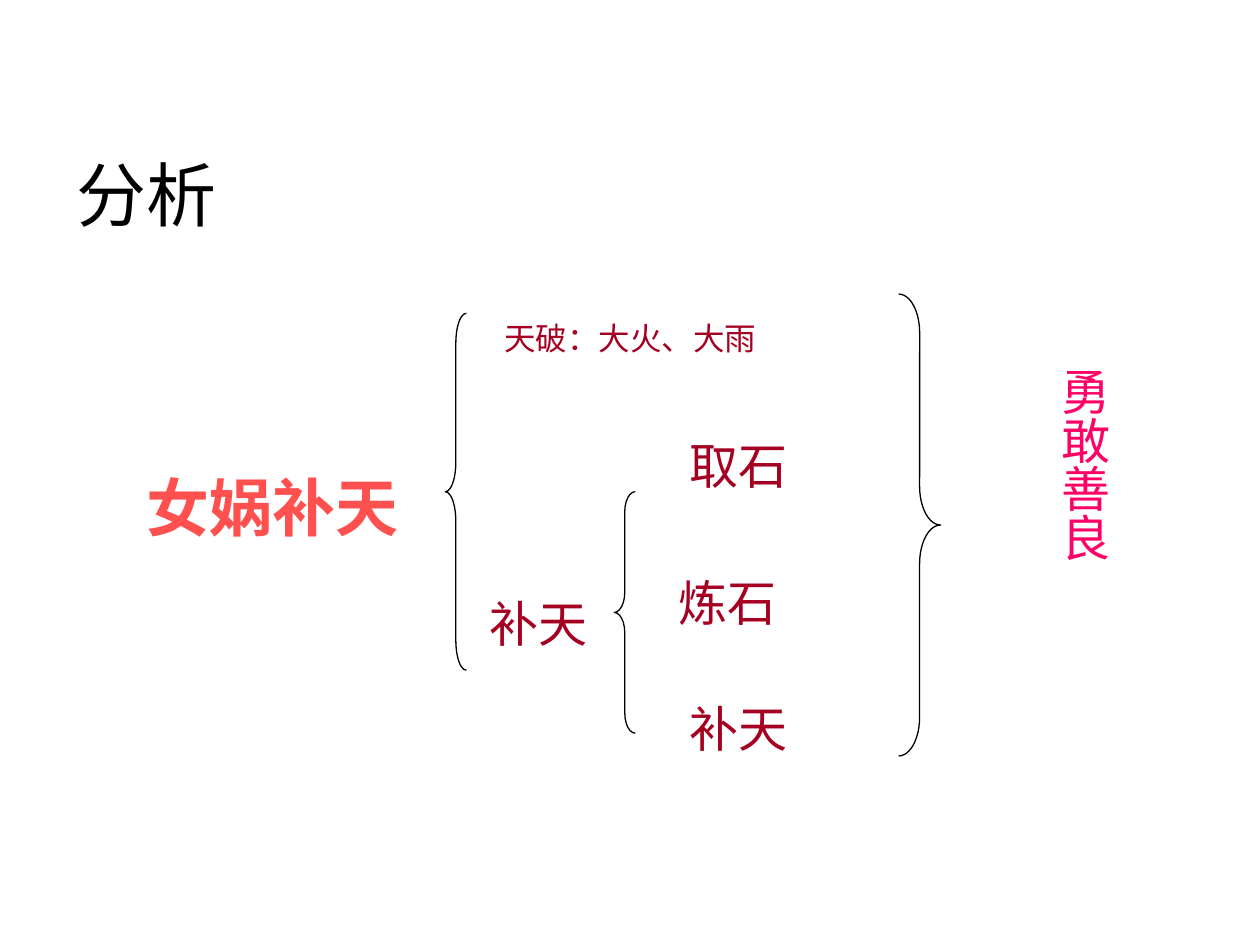
from pptx import Presentation
from pptx.dml.color import RGBColor
from pptx.enum.shapes import MSO_SHAPE
from pptx.enum.text import MSO_ANCHOR, MSO_AUTO_SIZE, PP_ALIGN
from pptx.util import Pt

SERIF, SANS = "Times New Roman", "Arial"
RED = "A50021"


def color(code):
    return RGBColor.from_string(code)


def place(shape, box):
    shape.left, shape.top, shape.width, shape.height = map(Pt, box)


def write(shape, text, size, font, code, bold=False, align=PP_ALIGN.LEFT):
    frame = shape.text_frame
    frame.word_wrap = True
    frame.vertical_anchor = MSO_ANCHOR.TOP
    frame.auto_size = MSO_AUTO_SIZE.SHAPE_TO_FIT_TEXT
    para = frame.paragraphs[0]
    para.alignment = align
    run = para.add_run()
    run.text = text
    run.font.size = Pt(size)
    run.font.name = font
    run.font.bold = bold
    run.font.color.rgb = color(code)


def label(slide, box, *args, **opts):
    shape = slide.shapes.add_textbox(*map(Pt, box))
    write(shape, *args, **opts)
    return shape


def brace(slide, kind, box):
    shape = slide.shapes.add_shape(kind, *map(Pt, box))
    shape.shadow.inherit = False
    shape.fill.background()
    shape.line.color.rgb = color("000000")
    shape.line.width = Pt(0.75)
    # Each curve is a twelfth of the height
    shape.adjustments[0] = box[3] / 12 / box[2]


def heading(slide, box):
    title = slide.shapes.title
    place(title, box)
    write(title, "分析", 40, SANS, "000000")


def story(slide, box):
    x, y, w, h = box
    # Topic and its two parts
    label(slide, (x, y + 85, 176, 50), "女娲补天", 36, SANS, "FF5050", bold=True)
    brace(slide, MSO_SHAPE.LEFT_BRACE, (x + 178, y, 12, 204))
    label(slide, (x + 204.5, y, 215, 29), "天破：大火、大雨", 18, SANS, RED)
    label(slide, (x + 196, y + 156.5, 72, 41), "补天", 28, SERIF, RED)
    # Steps of the mending
    brace(slide, MSO_SHAPE.LEFT_BRACE, (x + 274.5, y + 102, 12, 138))
    steps = [("取石", 310.5, 66.5), ("炼石", 304, 144.5), ("补天", 310.5, 216.5)]
    for text, dx, dy in steps:
        label(slide, (x + dx, y + dy, w - dx, 41), text, 28, SERIF, RED)


def moral(slide, box):
    x, y, w, h = box
    brace(slide, MSO_SHAPE.RIGHT_BRACE, (x, y, 24, h))
    shape = label(slide, (x + w - 47.5, y + 34.5, 47.5, 145.5), "勇敢善良",
                  28, SERIF, "FF0066", align=PP_ALIGN.RIGHT)
    # Upright characters, read downwards
    frame = shape.text_frame
    frame.word_wrap = False
    frame.margin_left = frame.margin_right = Pt(3.6)
    frame.margin_top = frame.margin_bottom = Pt(7.2)
    frame._txBody.bodyPr.set("vert", "eaVert")


def main():
    deck = Presentation()
    deck.slide_width, deck.slide_height = Pt(720), Pt(540)
    slide = deck.slides.add_slide(deck.slide_layouts[5])
    heading(slide, (36.5, 83, 300, 55.5))
    story(slide, (76.5, 179, 436, 258))
    moral(slide, (513.5, 168, 126.5, 264))
    deck.save("out.pptx")


if __name__ == "__main__":
    main()
